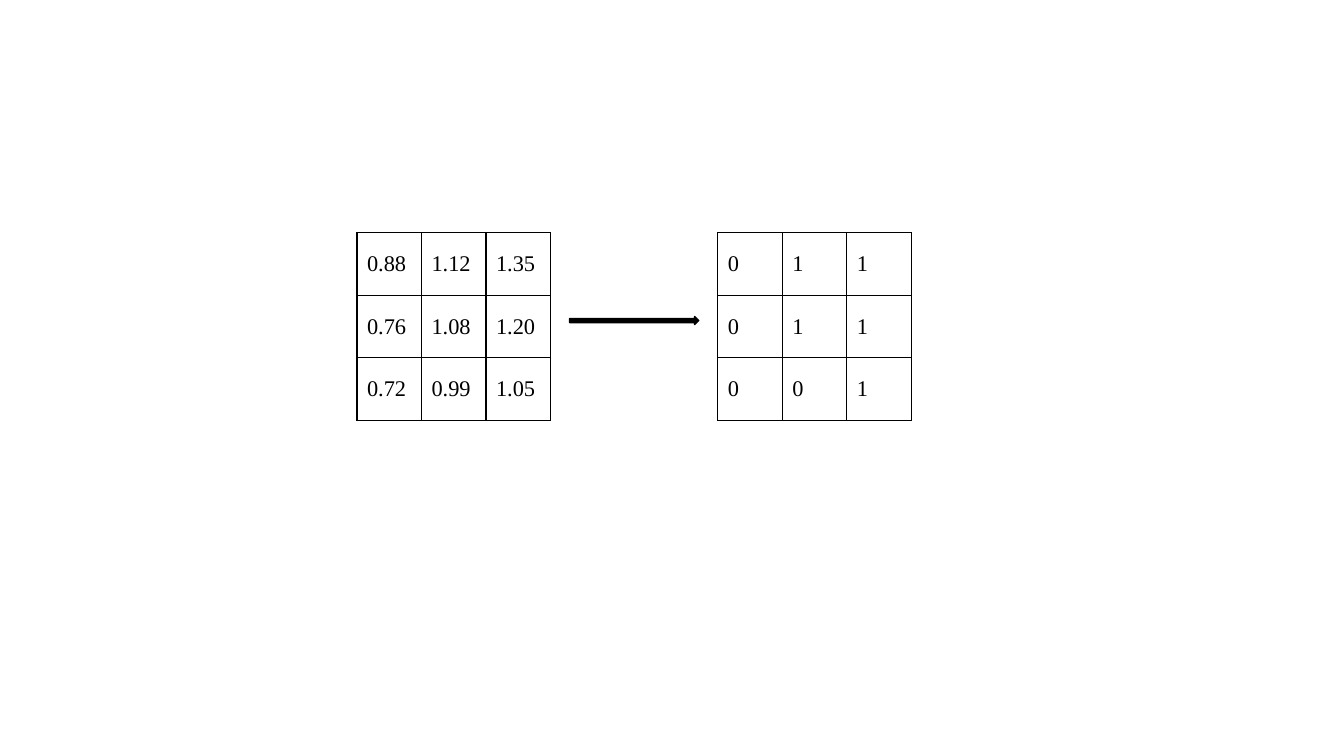
from dataclasses import dataclass

from lxml import etree
from pptx import Presentation
from pptx import util as u
from pptx.dml.color import RGBColor
from pptx.enum import shapes, text
from pptx.oxml import ns

RATIOS = [
    ["0.88", "1.12", "1.35"],
    ["0.76", "1.08", "1.20"],
    ["0.72", "0.99", "1.05"],
]
FLAGS = [
    ["0", "1", "1"],
    ["0", "1", "1"],
    ["0", "0", "1"],
]
GRIDS = [(3.54, RATIOS), (7.12, FLAGS)]
TOP, WIDE, HIGH = 2.31, 0.64, 0.62
ARROW = (5.65, 3.14, 1.28, 0.08)


@dataclass
class Theme:
    ink: str = "000000"
    font: str = "Times New Roman"
    size: int = 16
    line: int = 1


theme = Theme()
ink = RGBColor.from_string(theme.ink)


def add_edges(cell):
    props = cell._tc.get_or_add_tcPr()
    for side in ("lnL", "lnR", "lnT", "lnB"):
        edge = etree.SubElement(props, ns.qn(f"a:{side}"), w=str(u.Pt(theme.line)))
        fill = etree.SubElement(edge, ns.qn("a:solidFill"))
        etree.SubElement(fill, ns.qn("a:srgbClr"), val=theme.ink)


def add_grid(slide, left, rows):
    count = len(rows[0])
    table = slide.shapes.add_table(
        len(rows), count, u.Inches(left), u.Inches(TOP),
        u.Inches(WIDE * count), u.Inches(HIGH * len(rows))
    ).table
    table.first_row = False
    table.horz_banding = False
    for r, row in enumerate(rows):
        for c, value in enumerate(row):
            cell = table.cell(r, c)
            cell.text = value
            cell.vertical_anchor = text.MSO_ANCHOR.MIDDLE
            add_edges(cell)
            cell.fill.background()
            font = cell.text_frame.paragraphs[0].font
            font.name = theme.font
            font.size = u.Pt(theme.size)
            font.color.rgb = ink


def add_arrow(slide):
    arrow = slide.shapes.add_shape(
        shapes.MSO_SHAPE.RIGHT_ARROW, *map(u.Inches, ARROW)
    )
    arrow.shadow.inherit = False
    arrow.fill.solid()
    arrow.fill.fore_color.rgb = ink
    arrow.line.color.rgb = ink
    arrow.line.width = u.Pt(theme.line)


def main():
    deck = Presentation()
    deck.slide_width = u.Inches(13.33)
    deck.slide_height = u.Inches(7.5)
    slide = deck.slides.add_slide(deck.slide_layouts[6])
    for left, rows in GRIDS:
        add_grid(slide, left, rows)
    add_arrow(slide)
    deck.save("out.pptx")


if __name__ == "__main__":
    main()
